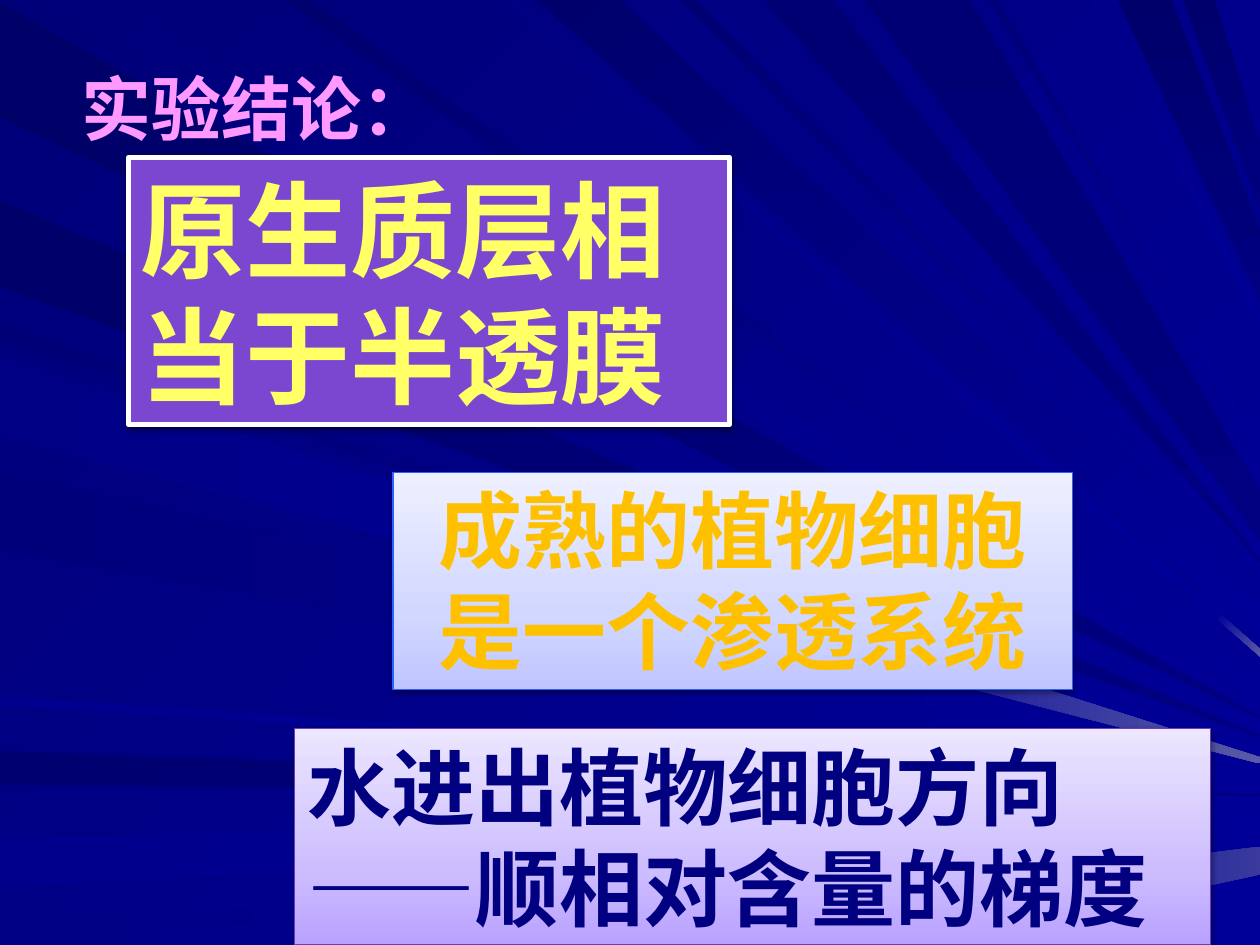
from lxml.etree import SubElement
from pptx import Presentation
from pptx.dml.color import RGBColor
from pptx.enum.shapes import MSO_SHAPE
from pptx.enum.text import MSO_ANCHOR, MSO_AUTO_SIZE, PP_ALIGN
from pptx.oxml.ns import qn
from pptx.util import Inches, Pt

color_of = RGBColor.from_string
NAVY, BLUE, MIDNIGHT = color_of("000080"), color_of("000099"), color_of("000078")
SLATE, HAZE = color_of("39399E"), color_of("5A5AA6")
WHITE, PINK, YELLOW = color_of("FFFFFF"), color_of("FF99FF"), color_of("FFFF66")
GOLD, PURPLE = color_of("FFC000"), color_of("7B46D0")
PLUM, AZURE = color_of("6C3BBB"), color_of("2D61FE")
LILAC_STOPS = [(0, color_of("B9A2FF")), (35, color_of("CDBDFF")), (100, color_of("ECE6FF"))]
SKY_STOPS = [(0, color_of("BFC6FF")), (35, color_of("D2D7FF")), (100, color_of("EEF0FF"))]
CJK_FONT = "Noto Sans CJK SC"


def apply_gradient(owner, fill, stops, clockwise_angle):
    fill.gradient()
    fill.gradient_angle = (360 - clockwise_angle) % 360
    stop_list = owner.element.find(".//" + qn("a:gsLst"))
    for old_stop in list(stop_list):
        stop_list.remove(old_stop)
    for position, color in stops:
        stop = SubElement(stop_list, qn("a:gs"), pos=str(position * 1000))
        SubElement(stop, qn("a:srgbClr"), val=str(color))


def write_text(shape, lines, size, color, align=PP_ALIGN.LEFT, anchor=MSO_ANCHOR.MIDDLE):
    """Fill the shape with lines, each a list of (text, font name) runs."""
    frame = shape.text_frame
    frame_format = {"word_wrap": True, "vertical_anchor": anchor,
                    "auto_size": MSO_AUTO_SIZE.SHAPE_TO_FIT_TEXT}
    for name, value in frame_format.items():
        setattr(frame, name, value)
    for index, runs in enumerate(lines):
        paragraph = frame.paragraphs[0] if index == 0 else frame.add_paragraph()
        paragraph.alignment = align
        for text, font_name in runs:
            run = paragraph.add_run()
            run.text = text
            for name, value in {"name": font_name, "size": Pt(size), "bold": True}.items():
                setattr(run.font, name, value)
            run.font.color.rgb = color
            SubElement(run.font._element, qn("a:ea"), typeface=CJK_FONT)


presentation = Presentation()
presentation.slide_width, presentation.slide_height = Inches(10), Inches(7.5)
GRID_WIDTH, GRID_HEIGHT = 1000, 750
UNIT = presentation.slide_width / GRID_WIDTH
slide = presentation.slides.add_slide(presentation.slide_layouts[6])
apply_gradient(slide, slide.background.fill, [(0, MIDNIGHT), (100, BLUE)], 45)

# Each ray leaves a slide edge between two places and meets the right edge
# between two heights; its blue grows from a dark shade to a last colour.
RAYS = [
    ("left", 2, 93, 569, 570, "69", NAVY),
    ("top", 26, 101, 562, 563, "7B", BLUE),
    ("left", 596, 623, 631, 632, "71", NAVY),
    ("left", 665, 704, 643, 651, "8C", BLUE),
    ("left", 735, 750, 662, 662, "85", BLUE),
    ("bottom", 364, 742, 672, 694, "99", BLUE),
    ("left", 258, 270, 589, 589, "76", BLUE),
    ("left", 159, 228, 584, 585, "6B", NAVY),
    ("top", 398, 416, 515, 521, "83", BLUE),
    ("top", 426, 492, 479, 507, "6D", BLUE),
    ("top", 540, 552, 463, 463, "73", BLUE),
    ("top", 606, 661, 445, 446, "73", NAVY),
    ("top", 887, 930, 183, 237, "6B", NAVY),
    ("top", 939, 964, 114, 167, "6D", NAVY),
    ("left", 278, 342, 596, 602, "7E", BLUE),
    ("left", 374, 437, 605, 606, "7B", BLUE),
    ("left", 552, 560, 621, 623, "8E", BLUE),
    ("top", 225, 247, 547, 552, "70", BLUE),
    ("top", 686, 770, 390, 428, "73", NAVY),
    ("top", 785, 792, 354, 360, "78", BLUE),
    ("top", 865, 872, 249, 258, "8A", BLUE),
    ("left", 283, 347, 601, 606, "85", BLUE),
]
# Rays that brighten towards the right: where the glint sets in, in percent
GLINTS = {("bottom", 364): (62, SLATE), ("top", 398): (94, HAZE), ("left", 283): (64, HAZE)}

for edge, start, end, upper, lower, shade, last in RAYS:
    if edge == "left":
        corners = [(0, start), (0, end), (GRID_WIDTH, lower), (GRID_WIDTH, upper)]
    elif edge == "top":
        corners = [(start, 0), (end, 0), (GRID_WIDTH, upper), (GRID_WIDTH, lower)]
    else:
        corners = [(start, GRID_HEIGHT), (end, GRID_HEIGHT),
                   (GRID_WIDTH, lower), (GRID_WIDTH, upper)]
    builder = slide.shapes.build_freeform(*corners[0], scale=UNIT)
    builder.add_line_segments(corners[1:], close=True)
    ray = builder.convert_to_shape()
    ray.shadow.inherit = False
    ray.line.fill.background()
    stops = [(0, color_of("0000" + shade)), (100, last)]
    if (edge, start) in GLINTS:
        onset, tint = GLINTS[edge, start]
        stops[1:] = [(onset, last), (100, tint)]
    if last == BLUE:
        angle = 45 if edge == "top" else 0
    else:
        angle = 90 if edge == "top" else 0
    apply_gradient(ray, ray.fill, stops, angle)

# Text boxes: place in grid units, fill, line colour and width, text
BOXES = [
    ((234, 578, 727, 172), LILAC_STOPS, PLUM, 0.75,
     {"lines": [[("水进出", CJK_FONT), ("植物细胞", "Arial"), ("方向", CJK_FONT)],
                [("——顺相对含量的梯度", CJK_FONT)]], "size": 48, "color": NAVY}),
    ((55, 47, 339, 77), None, None, 0,
     {"lines": [[("实验结论：", "Montserrat")]], "size": 40, "color": PINK,
      "anchor": MSO_ANCHOR.TOP}),
    ((102, 125, 477, 212), PURPLE, WHITE, 3,
     {"lines": [[("原生质层相当于半透膜", CJK_FONT)]], "size": 60, "color": YELLOW}),
    ((312, 375, 539, 172), SKY_STOPS, AZURE, 0.75,
     {"lines": [[("成熟的植物细胞是一个渗透系统", "Arial")]], "size": 48, "color": GOLD,
      "align": PP_ALIGN.CENTER, "anchor": MSO_ANCHOR.TOP}),
]
for place, paint, line_color, line_width, text_format in BOXES:
    position = [int(value * UNIT) for value in place]
    if paint is None:
        write_text(slide.shapes.add_textbox(*position), **text_format)
        continue
    box = slide.shapes.add_shape(MSO_SHAPE.RECTANGLE, *position)
    if isinstance(paint, list):
        apply_gradient(box, box.fill, paint, 270)
    else:
        box.fill.solid()
        box.fill.fore_color.rgb = paint
    box.line.color.rgb = line_color
    box.line.width = Pt(line_width)
    box.shadow.inherit = False
    effects = box.element.spPr.find(qn("a:effectLst"))
    shadow = SubElement(effects, qn("a:outerShdw"), blurRad=str(Pt(3.1)), dist=str(Pt(1.6)),
                        dir="5400000", rotWithShape="0")
    shadow_color = SubElement(shadow, qn("a:srgbClr"), val="000000")
    SubElement(shadow_color, qn("a:alpha"), val="38000")
    write_text(box, **text_format)

presentation.save("out.pptx")
